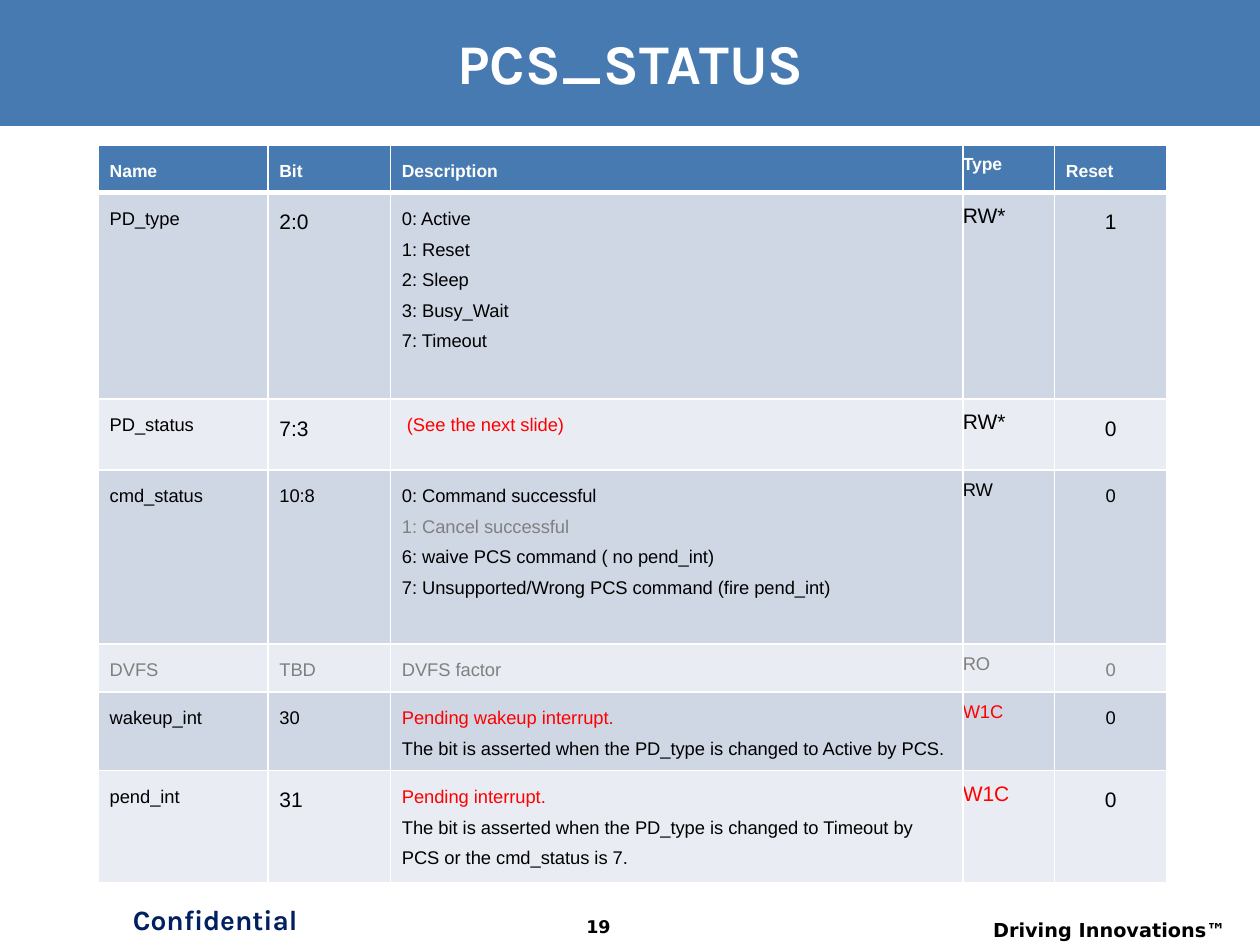
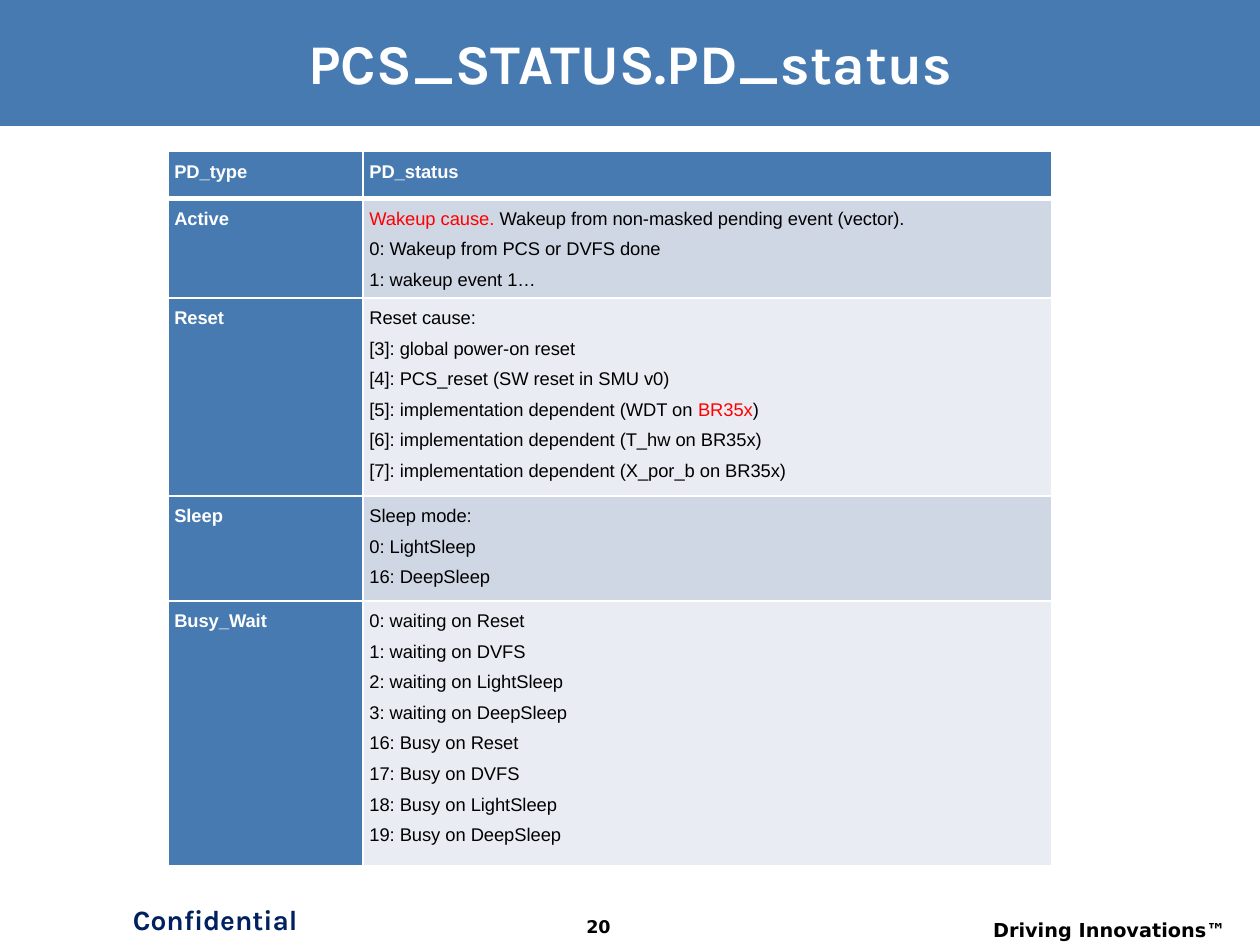
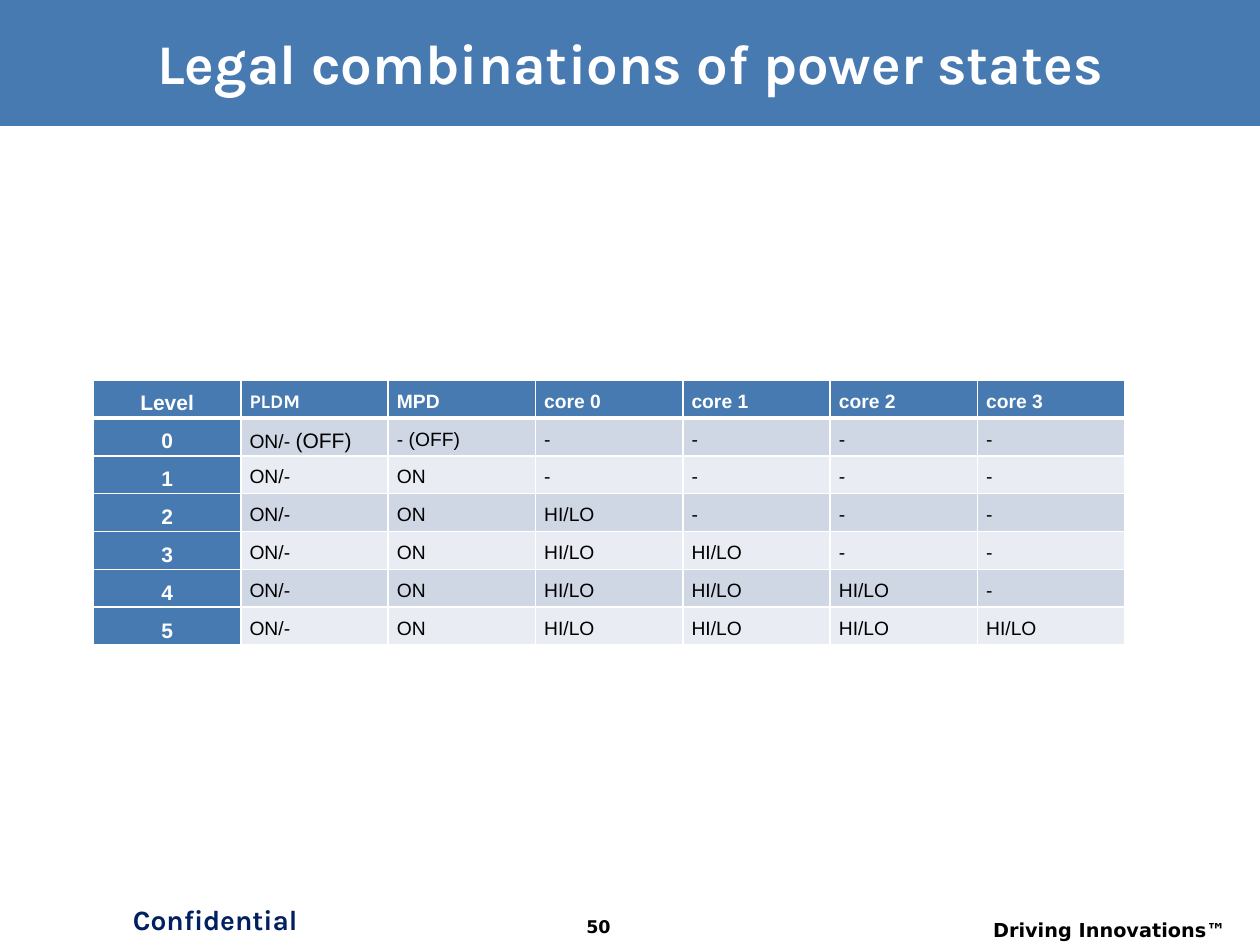
"""Build three slides of register and power-state tables."""
import lxml.etree
import pptx
import pptx.dml.color
import pptx.enum.shapes
import pptx.enum.text
import pptx.oxml
import pptx.oxml.ns
import pptx.util

Pt = pptx.util.Pt
ALIGN = pptx.enum.text.PP_ALIGN
DRAWING = pptx.oxml.ns.nsdecls("a")
BLUE, NAVY, WHITE, BLACK = "477AB1", "002060", "FFFFFF", "000000"
BAND_DARK, BAND_LIGHT = "CFD7E4", "E9ECF2"
MARKS = {"!": "FF0000", "~": "808080"}


def color(value):
    """Turn a hex string into a colour."""
    return pptx.dml.color.RGBColor.from_string(value)


def style(span, size, font, value, bold):
    """Format one run."""
    span.font.size = Pt(size)
    span.font.name = font
    span.font.bold = bold
    span.font.color.rgb = color(value)


# In cell text a newline starts a paragraph and "|" a run; "!" is red, "~" grey, "+" larger.
status_rows = [
    ["Name", "Bit", "Description", "Type", "Reset"],
    ["PD_type", "2:0", "0: Active\n1: Reset\n2: Sleep\n3: Busy_Wait\n7: Timeout", "RW*", "1"],
    ["PD_status", "7:3", "! (See the next slide)", "RW*", "0"],
    ["cmd_status", "10:8",
     "0: Command successful\n~1: Cancel successful\n6: waive PCS command ( no pend_int)\n"
     "7: Unsupported/Wrong PCS command (fire pend_int)", "RW", "0"],
    ["~DVFS", "~TBD", "~DVFS factor", "~RO", "~0"],
    ["wakeup_int", "30",
     "!Pending wakeup interrupt.\n"
     "The bit is asserted when the PD_type is changed to Active by PCS.", "!W1C", "0"],
    ["pend_int", "31",
     "!Pending interrupt.\nThe bit is asserted when the PD_type is changed to Timeout by "
     "PCS or the cmd_status is 7.", "!W1C", "0"],
]
cause_rows = [
    ["PD_type", "PD_status"],
    ["Active",
     "!Wakeup cause. |Wakeup from non-masked pending event (vector).\n"
     "0: Wakeup from PCS or DVFS done\n1: wakeup event 1…"],
    ["Reset",
     "Reset cause:\n[3]: global power-on reset\n[4]: PCS_reset (SW reset in SMU v0)\n"
     "[5]: implementation dependent (WDT on |!BR35x|)\n"
     "[6]: implementation dependent (T_hw on BR35x)\n"
     "[7]: implementation dependent (X_por_b on BR35x)"],
    ["Sleep", "Sleep mode:\n0: LightSleep\n16: DeepSleep"],
    ["Busy_Wait",
     "0: waiting on Reset\n1: waiting on DVFS\n2: waiting on LightSleep\n"
     "3: waiting on DeepSleep\n16: Busy on Reset\n17: Busy on DVFS\n"
     "18: Busy on LightSleep\n19: Busy on DeepSleep"],
]
level_rows = [["Level", "PLDM", "MPD"] + [f"core {core}" for core in range(4)]]
for level in range(6):
    active = max(level - 1, 0)
    domains = ["ON/-", "ON"] if level else ["ON/- |+(OFF)", "- (OFF)"]
    level_rows.append([str(level)] + domains + ["HI/LO"] * active + ["-"] * (4 - active))

slides = [
    dict(title="PCS_STATUS", number="19", rows=status_rows, left=56.2, top=83,
         widths=[97, 70, 327, 52.5, 64], heights=[27, 118, 40.5, 99.5, 27.4, 44, 62.5],
         insets=(6.5, 3.6), size=10.5, head_size=10, large_size=12,
         large={(row, column) for row in (1, 2, 6) for column in (1, 3, 4)},
         row_heads=False, centered=4, tight=3),
    dict(title="PCS_STATUS.PD_status", number="20", rows=cause_rows, left=96, top=86.5,
         widths=[111.5, 393.5], heights=[27, 51.5, 104.5, 60, 139],
         insets=(3.6, 0), size=10.5, head_size=10.5, large_size=10.5, large=set(),
         row_heads=True, centered=None, tight=None),
    dict(title="Legal combinations of power states", number="50", rows=level_rows,
         left=53.4, top=217.2, widths=[84.2] * 7, heights=[20.2] * 7,
         insets=(5, 0), size=11, head_size=11, large_size=12,
         large={(row, 0) for row in range(7)},
         row_heads=True, centered=0, tight=None),
]

deck = pptx.Presentation()
deck.slide_width, deck.slide_height = Pt(720), Pt(540)

for item in slides:
    page = deck.slides.add_slide(deck.slide_layouts[5])
    title = page.shapes.title
    band = page.shapes.add_shape(
        pptx.enum.shapes.MSO_SHAPE.RECTANGLE, 0, 0, deck.slide_width, Pt(72))
    band.shadow.inherit = False
    band.fill.solid()
    band.fill.fore_color.rgb = color(BLUE)
    band.line.fill.background()
    title.element.addprevious(band.element)

    title.left, title.top, title.width, title.height = Pt(25.2), Pt(11.5), Pt(670.3), Pt(47.5)
    title.text_frame.text = item["title"]
    title.text_frame.auto_size = pptx.enum.text.MSO_AUTO_SIZE.NONE
    title.text_frame.vertical_anchor = pptx.enum.text.MSO_ANCHOR.MIDDLE
    heading = title.text_frame.paragraphs[0]
    heading.alignment = ALIGN.CENTER
    span = heading.runs[0]
    style(span, 32, "Karla", WHITE, True)
    shadow = pptx.oxml.parse_xml(
        f'<a:effectLst {DRAWING}><a:outerShdw dist="38100" dir="2700000">'
        f'<a:srgbClr val="{BLACK}"/></a:outerShdw></a:effectLst>')
    span.font.fill.solid()
    span.font.color.rgb = color(WHITE)
    span.font._element.find(pptx.oxml.ns.qn("a:solidFill")).addnext(shadow)

    for text, left, top, width, height, size, font, value, align in (
            ("Confidential", 64, 512, 118, 30, 16, "Karla", NAVY, ALIGN.CENTER),
            ("Driving Innovations™", 537, 521.3, 170.7, 18.7, 11, "DejaVu Sans", BLACK, ALIGN.RIGHT),
            (item["number"], 309, 520, 66, 20, 10, "DejaVu Sans", BLACK, ALIGN.CENTER)):
        box = page.shapes.add_textbox(Pt(left), Pt(top), Pt(width), Pt(height))
        box.text_frame.word_wrap = True
        box.text_frame.text = text
        para = box.text_frame.paragraphs[0]
        para.alignment = align
        style(para.runs[0], size, font, value, True)

    rows, widths, heights = item["rows"], item["widths"], item["heights"]
    table = page.shapes.add_table(
        len(rows), len(widths), Pt(item["left"]), Pt(item["top"]),
        Pt(sum(widths)), Pt(sum(heights))).table
    for column, width in enumerate(widths):
        table.columns[column].width = Pt(width)
    for row, texts in enumerate(rows):
        table.rows[row].height = Pt(heights[row])
        for column, text in enumerate(texts):
            cell = table.cell(row, column)
            side, edge = (0, 0) if column == item["tight"] else item["insets"]
            cell.margin_left = cell.margin_right = Pt(side)
            cell.margin_top = cell.margin_bottom = Pt(edge)
            is_head = row == 0 or (item["row_heads"] and column == 0)
            cell.fill.solid()
            cell.fill.fore_color.rgb = color(
                BLUE if is_head else BAND_DARK if row % 2 else BAND_LIGHT)
            properties = cell.fill._xPr
            for position, name in enumerate(("lnL", "lnR", "lnT", "lnB")):
                thick = (row, name) in ((0, "lnB"), (1, "lnT"))
                properties.insert(position, pptx.oxml.parse_xml(
                    f'<a:{name} {DRAWING} w="{Pt(3 if thick else 1)}"><a:solidFill>'
                    f'<a:srgbClr val="{WHITE}"/></a:solidFill></a:{name}>'))

            size = item["head_size"] if row == 0 else item["size"]
            if (row, column) in item["large"]:
                size = item["large_size"]
            font = "Karla" if text == "PLDM" else "Arial"
            centered = column == item["centered"] and (row > 0 or column == 0)
            for index, line in enumerate(text.split("\n")):
                frame = cell.text_frame
                para = frame.add_paragraph() if index else frame.paragraphs[0]
                para.line_spacing = 1.5
                para.alignment = ALIGN.CENTER if centered else ALIGN.LEFT
                for part in line.split("|"):
                    span = para.add_run()
                    span.text = part.lstrip("!~+")
                    value = MARKS.get(part[0], WHITE if is_head else BLACK)
                    span_size = item["large_size"] if part[0] == "+" else size
                    style(span, span_size, font, value, is_head)

deck.save("out.pptx")
